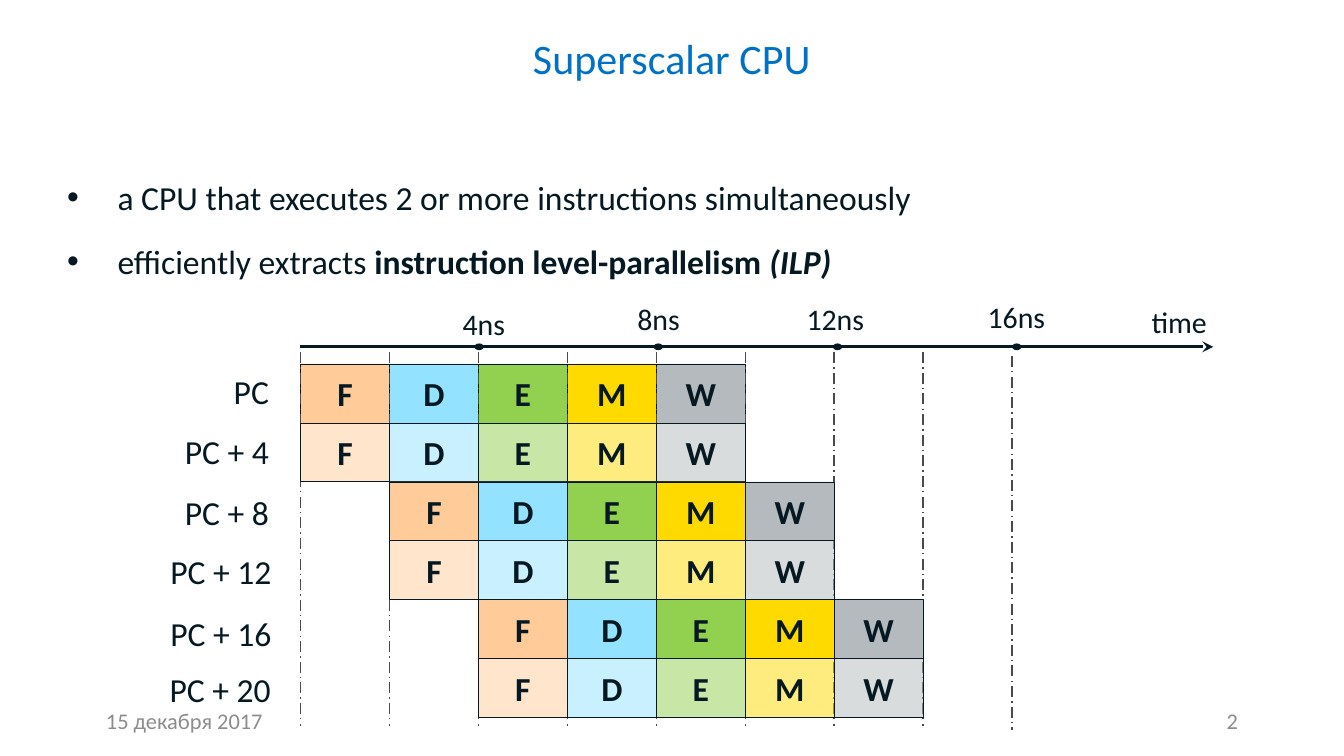
from pptx import Presentation
from pptx.dml.color import RGBColor
from pptx.enum.dml import MSO_LINE as Dash
from pptx.enum.shapes import MSO_CONNECTOR as Link, MSO_SHAPE as Form
from pptx.enum.text import MSO_ANCHOR as Anchor, PP_ALIGN as Align
from pptx.oxml.ns import qn
from pptx.util import Pt
from lxml.etree import SubElement

INK = RGBColor(0x06, 0x19, 0x22)
BLUE = RGBColor(0x00, 0x71, 0xC5)
GRAY = RGBColor(0x8C, 0x8C, 0x8D)
GUIDE = RGBColor(0x49, 0x4A, 0x4D)
STAGES = {
    "F": RGBColor(0xFF, 0xCC, 0x99),
    "D": RGBColor(0x93, 0xE2, 0xFF),
    "E": RGBColor(0x92, 0xD0, 0x50),
    "M": RGBColor(0xFF, 0xDA, 0x00),
    "W": RGBColor(0xB4, 0xBA, 0xBD),
}
LEFT, TOP, STEP, HIGH = 161, 195, 47.65, 31.55
AXIS = 185.8

deck = Presentation()
deck.slide_width, deck.slide_height = Pt(720), Pt(405)
slide = deck.slides.add_slide(deck.slide_layouts[6])
shapes = slide.shapes


def write(x, y, w, h, text, size, align=Align.LEFT, color=INK, wrap=True, anchor=Anchor.MIDDLE):
    box = shapes.add_textbox(Pt(x), Pt(y), Pt(w), Pt(h))
    frame = box.text_frame
    frame.word_wrap = wrap
    frame.vertical_anchor = anchor
    frame.text = text
    para = frame.paragraphs[0]
    para.alignment = align
    para.font.name, para.font.size = "Calibri", Pt(size)
    para.font.color.rgb = color
    return frame


def draw_row(row, name, right, top):
    write(right - 69, top, 69, 29, name, 18, Align.RIGHT)
    for col, (stage, color) in enumerate(STAGES.items(), row // 2):
        cell = shapes.add_shape(Form.RECTANGLE, Pt(LEFT + col * STEP), Pt(TOP + row * HIGH), Pt(STEP), Pt(HIGH))
        cell.shadow.inherit = False
        cell.fill.solid()
        cell.fill.fore_color.rgb = color
        if row % 2:
            tint = cell.element.spPr.find(qn("a:solidFill"))[0]
            SubElement(tint, qn("a:alpha"), val="50000")
        cell.line.color.rgb = INK
        cell.line.width = Pt(0.25)
        frame = cell.text_frame
        frame.word_wrap = False
        frame.vertical_anchor = Anchor.MIDDLE
        frame.text = stage
        para = frame.paragraphs[0]
        para.alignment = Align.CENTER
        para.font.name, para.font.size, para.font.bold = "Calibri", Pt(18), True
        para.font.color.rgb = INK


title = write(36, 8.6, 648, 52.6, "Superscalar CPU", 22.5, Align.CENTER, BLUE)
title.paragraphs[0].line_spacing = Pt(19.5)

body = shapes.add_textbox(Pt(36), Pt(94.5), Pt(648), Pt(70)).text_frame
body.word_wrap = True
for frame in (title, body):
    frame.margin_left = frame.margin_top = frame.margin_right = frame.margin_bottom = 0
points = [
    [("a CPU that executes 2 or more instructions simultaneously", None, None)],
    [("efficiently extracts", None, None), (" instruction level-parallelism ", True, None), ("(ILP)", True, True)],
]
for i, runs in enumerate(points):
    para = body.add_paragraph() if i else body.paragraphs[0]
    if i:
        para.space_before = Pt(13)
    props = para._p.get_or_add_pPr()
    props.set("marL", str(Pt(27)))
    props.set("indent", str(Pt(-27)))
    SubElement(props, qn("a:buFont"), typeface="Arial")
    SubElement(props, qn("a:buChar"), char="•")
    para.font.name, para.font.size = "Calibri", Pt(18)
    para.font.color.rgb = INK
    for text, bold, slant in runs:
        run = para.add_run()
        run.text = text
        run.font.bold, run.font.italic = bold, slant

rows = [
    ("PC", 151.2, 195),
    ("PC + 4", 151.2, 227),
    ("PC + 8", 151.2, 260),
    ("PC + 12", 152.6, 291.5),
    ("PC + 16", 152.6, 324.5),
    ("PC + 20", 152.2, 354.5),
]
draw_row(0, *rows[0])

lines = [(LEFT, AXIS, 650, AXIS, INK, 1.5, None)]
for i in range(9):
    x, drop = LEFT + i * STEP, 2 if i == 8 else 0
    lines.append((x, 188.7 + drop, x, 389 + drop, GUIDE, 0.75, Dash.LONG_DASH_DOT))
for x, y, end, base, color, width, dash in lines:
    line = shapes.add_connector(Link.STRAIGHT, Pt(x), Pt(y), Pt(end), Pt(base))
    line.line.color.rgb = color
    line.line.width = Pt(width)
    if dash:
        line.line.dash_style = dash
    else:
        SubElement(line.element.spPr.find(qn("a:ln")), qn("a:tailEnd"), type="stealth")
    SubElement(line.element.spPr, qn("a:effectLst"))

ticks = [("4ns", 259.2, 160), ("8ns", 352.8, 157.8), ("12ns", 447.5, 157.5), ("16ns", 544.5, 156.5)]
for i, (text, mid, top) in enumerate(ticks):
    dot = shapes.add_shape(Form.OVAL, Pt(254.2 + i * 96), Pt(AXIS - 1.8), Pt(5), Pt(3.6))
    dot.shadow.inherit = False
    dot.fill.solid()
    dot.fill.fore_color.rgb = INK
    dot.line.fill.background()
    write(mid - 22.5, top, 45, 26.6, text, 16, Align.CENTER, wrap=False, anchor=Anchor.TOP)
write(609.8, 159.2, 44.6, 26.6, "time", 16, wrap=False, anchor=Anchor.TOP)

for i, row in enumerate(rows[1:], 1):
    draw_row(i, *row)

write(49.7, 375, 162, 21.6, "15 декабря 2017", 12, color=GRAY)
write(508.3, 375, 162, 21.6, "2", 12, Align.RIGHT, GRAY)

deck.save("out.pptx")
